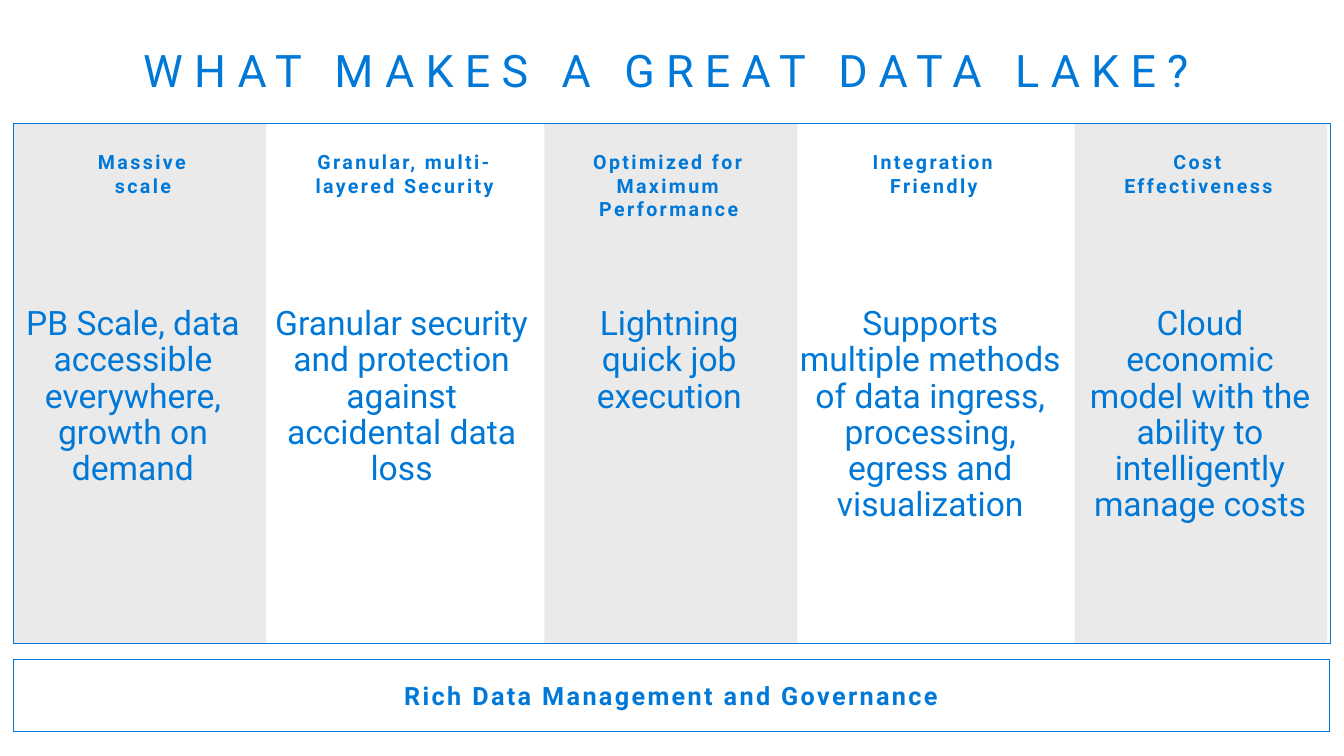
from pptx import Presentation
from pptx.dml.color import RGBColor
from pptx.enum import shapes, text
from pptx.util import Pt

BLUE = "0078D7"
GREY = "EAEAEA"
FONT = "Roboto"
PANEL_TOP, PANEL_HEIGHT = 88.5, 371
HEADING_TOP, BODY_TOP = 103.7, 207.4

# heading, its left and width, body, its left and width
COLUMNS = [
    ("Massive scale", 51.8, 100.8,
     "PB Scale, data accessible everywhere, growth on demand", 0.7, 188.6),
    ("Granular, multi-layered Security", 210.2, 157.7,
     "Granular security and protection against accidental data loss", 181.4, 211),
    ("Optimized for Maximum Performance", 398.9, 157.7,
     "Lightning quick job execution", 393.1, 169.9),
    ("Integration Friendly", 604.1, 126,
     "Supports multiple methods of data ingress, processing, egress and visualization",
     555.8, 217.4),
    ("Cost Effectiveness", 792.7, 126.7,
     "Cloud economic model with the ability to intelligently manage costs", 758.9, 196.6),
]
BAND_LEFTS = [9.4, 388.8, 767.5]
BAND_WIDTH = 180.7


def color(value):
    return RGBColor.from_string(value)


def write(shape, words, size, bold=False, tracking=0, line_spacing=None,
          space_after=None, insets=(7.2, 3.6), anchor=text.MSO_ANCHOR.TOP):
    """Fill a shape with one centred blue paragraph; tracking is in points."""
    frame = shape.text_frame
    frame.text = words
    frame.word_wrap = True
    frame.vertical_anchor = anchor
    frame.margin_left = frame.margin_right = Pt(insets[0])
    frame.margin_top = frame.margin_bottom = Pt(insets[1])
    para = frame.paragraphs[0]
    para.alignment = text.PP_ALIGN.CENTER
    if line_spacing:
        para.line_spacing = line_spacing
    if space_after:
        para.space_after = Pt(space_after)
    span = para.runs[0]
    span.font.name = FONT
    span.font.size = Pt(size)
    span.font.bold = bold
    span.font.color.rgb = color(BLUE)
    if tracking:
        span.font._element.set("spc", str(round(tracking * 100)))


def add_text(page, left, top, width, height, words, size, **style):
    box = page.shapes.add_textbox(Pt(left), Pt(top), Pt(width), Pt(height))
    write(box, words, size, **style)


def add_box(page, left, top, width, height, fill=None, line_width=None):
    box = page.shapes.add_shape(shapes.MSO_SHAPE.RECTANGLE,
                                Pt(left), Pt(top), Pt(width), Pt(height))
    box.shadow.inherit = False
    if fill:
        box.fill.solid()
        box.fill.fore_color.rgb = color(fill)
    else:
        box.fill.background()
    if line_width:
        box.line.color.rgb = color(BLUE)
        box.line.width = Pt(line_width)
    else:
        box.line.fill.background()
    return box


def main():
    deck = Presentation()
    deck.slide_width, deck.slide_height = Pt(960), Pt(540)
    page = deck.slides.add_slide(deck.slide_layouts[6])

    for left in BAND_LEFTS:
        add_box(page, left, PANEL_TOP, BAND_WIDTH, PANEL_HEIGHT, fill=GREY)
    add_text(page, 17.3, 15.8, 917.3, 72.7, "WHAT MAKES A GREAT DATA LAKE?", 32,
             tracking=8, line_spacing=0.9, insets=(11.5, 7.2),
             anchor=text.MSO_ANCHOR.MIDDLE)

    for heading, heading_left, heading_width, body, body_left, body_width in COLUMNS:
        add_text(page, heading_left, HEADING_TOP, heading_width, 41, heading, 14,
                 bold=True, tracking=1.7)
        add_text(page, body_left, BODY_TOP, body_width, 154, body, 24,
                 line_spacing=0.9, space_after=6, insets=(14.4, 11.5))

    footer = add_box(page, 9.4, 470.9, 940.3, 51.8, line_width=0.85)
    write(footer, "Rich Data Management and Governance", 18, bold=True,
          tracking=1.7, anchor=text.MSO_ANCHOR.MIDDLE)
    add_box(page, 10, PANEL_TOP, 940.3, PANEL_HEIGHT, line_width=0.75)
    deck.save("out.pptx")


if __name__ == "__main__":
    main()
